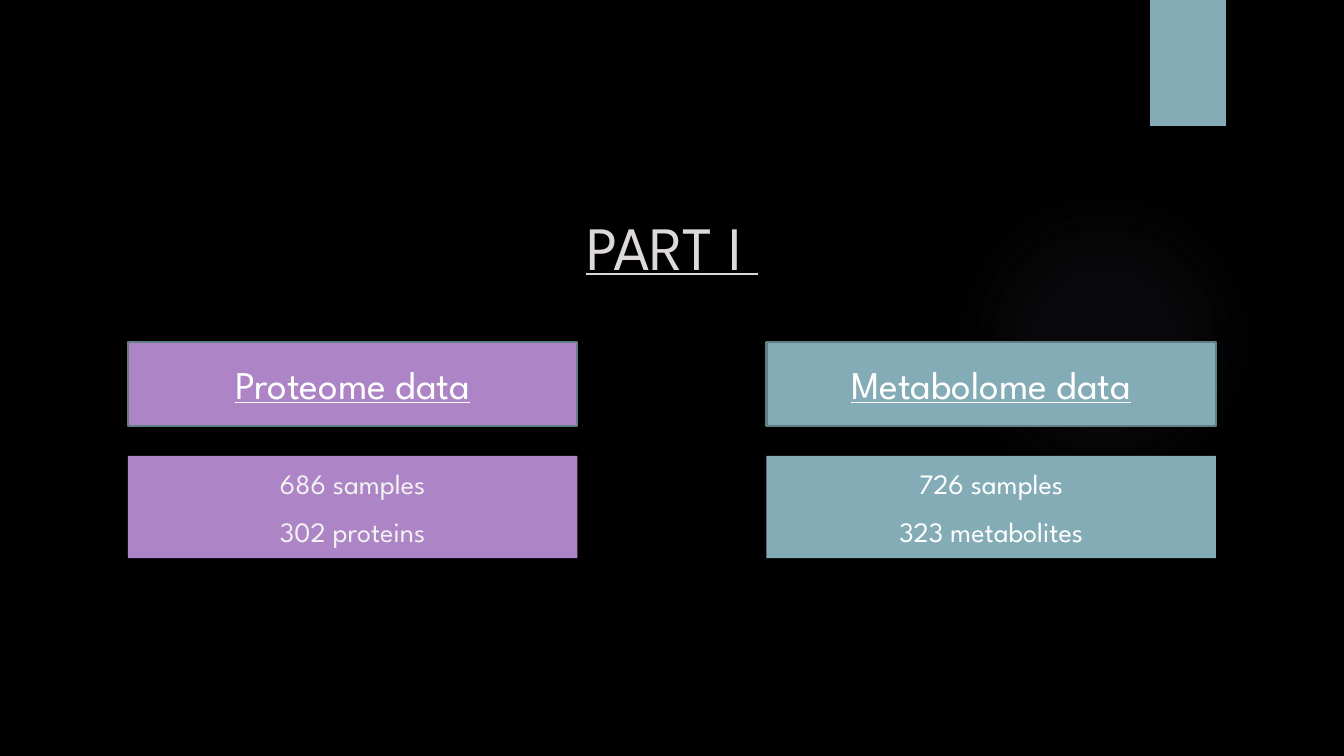
from lxml import etree
from pptx import Presentation
from pptx.dml.color import RGBColor
from pptx.enum.shapes import MSO_SHAPE
from pptx.enum.text import MSO_ANCHOR, PP_ALIGN
from pptx.oxml import parse_xml
from pptx.util import Pt

RECTANGLE, ELLIPSE = MSO_SHAPE.RECTANGLE, MSO_SHAPE.OVAL
TOP, MIDDLE = MSO_ANCHOR.TOP, MSO_ANCHOR.MIDDLE
CENTER = PP_ALIGN.CENTER

COLORS = {
    "background": "000000",
    "title": "DCD8DC",
    "purple": "AD84C6",
    "teal": "84ACB6",
    "outline": "627F87",
    "glow": "7F7B9A",
    "white": "FFFFFF",
    "soft white": "F2F2F2",
}
FONT = "League Spartan"
TITLE = "PART I "
DATASETS = [
    ("Proteome data", ["686 samples", "302 proteins"], "purple", "soft white"),
    ("Metabolome data", ["726 samples", "323 metabolites"], "teal", "white"),
]
GLOW_STOPS = [(0, 7), (36, 6), (69, 0)]

SLIDE_WIDTH, SLIDE_HEIGHT = 960, 540
MARGIN, BOX_WIDTH = 91.4, 321.1
COLUMN_STEP = SLIDE_WIDTH - 2 * MARGIN - BOX_WIDTH
HEADING_TOP, HEADING_HEIGHT = 244.2, 60
DETAIL_TOP, DETAIL_HEIGHT = 325.6, 73.2


def color(name):
    return RGBColor.from_string(COLORS[name])


def write(holder, lines, size, fill, underline=None, before=0, anchor=MIDDLE):
    frame = holder.text_frame
    frame.word_wrap = True
    frame.vertical_anchor = anchor
    for index, line in enumerate(lines):
        paragraph = frame.add_paragraph() if index else frame.paragraphs[0]
        paragraph.alignment = CENTER
        paragraph.space_before = Pt(before)
        run = paragraph.add_run()
        run.text = line
        run.font.name = FONT
        run.font.size = Pt(size)
        run.font.underline = underline
        run.font.color.rgb = color(fill)


def add_block(slide, kind, box, fill, outline=None):
    block = slide.shapes.add_shape(kind, *(Pt(length) for length in box))
    block.shadow.inherit = False
    block.fill.solid()
    block.fill.fore_color.rgb = color(fill)
    if outline:
        block.line.color.rgb = color(outline)
        block.line.width = Pt(1.5)
    else:
        block.line.fill.background()
    return block


def fade_out(glow):
    stops = "".join(
        f'<a:gs pos="{position * 1000}"><a:srgbClr val="{COLORS["glow"]}">'
        f'<a:alpha val="{alpha * 1000}"/></a:srgbClr></a:gs>'
        for position, alpha in GLOW_STOPS
    )
    gradient = parse_xml(
        '<a:gradFill xmlns:a="http://schemas.openxmlformats.org/drawingml/2006/main">'
        f'<a:gsLst>{stops}</a:gsLst><a:path path="circle">'
        '<a:fillToRect l="50000" t="50000" r="50000" b="50000"/></a:path></a:gradFill>'
    )
    properties = glow.element.spPr
    solid = next(
        part for part in properties if etree.QName(part).localname == "solidFill"
    )
    properties.replace(solid, gradient)


def main():
    deck = Presentation()
    deck.slide_width, deck.slide_height = Pt(SLIDE_WIDTH), Pt(SLIDE_HEIGHT)
    slide = deck.slides.add_slide(deck.slide_layouts[5])
    slide.background.fill.solid()
    slide.background.fill.fore_color.rgb = color("background")

    fade_out(add_block(slide, ELLIPSE, (677.5, 131.8, 221.8, 221.8), "glow"))
    add_block(slide, RECTANGLE, (821.6, 0, 54, 90), "teal")

    title = slide.shapes.title
    title.left, title.top = Pt(112.4), Pt(145.4)
    title.width, title.height = Pt(735.2), Pt(73.4)
    write(title, [TITLE], 44, "title", underline=True, anchor=TOP)

    for column, (heading, details, fill, detail_color) in enumerate(DATASETS):
        left = MARGIN + column * COLUMN_STEP
        heading_box = (left, HEADING_TOP, BOX_WIDTH, HEADING_HEIGHT)
        heading_block = add_block(slide, RECTANGLE, heading_box, fill, "outline")
        write(heading_block, [heading], 28, "white", underline=True)
        detail_box = (left, DETAIL_TOP, BOX_WIDTH, DETAIL_HEIGHT)
        detail_block = add_block(slide, RECTANGLE, detail_box, fill)
        write(detail_block, details, 20, detail_color, before=10)

    deck.save("out.pptx")


if __name__ == "__main__":
    main()
